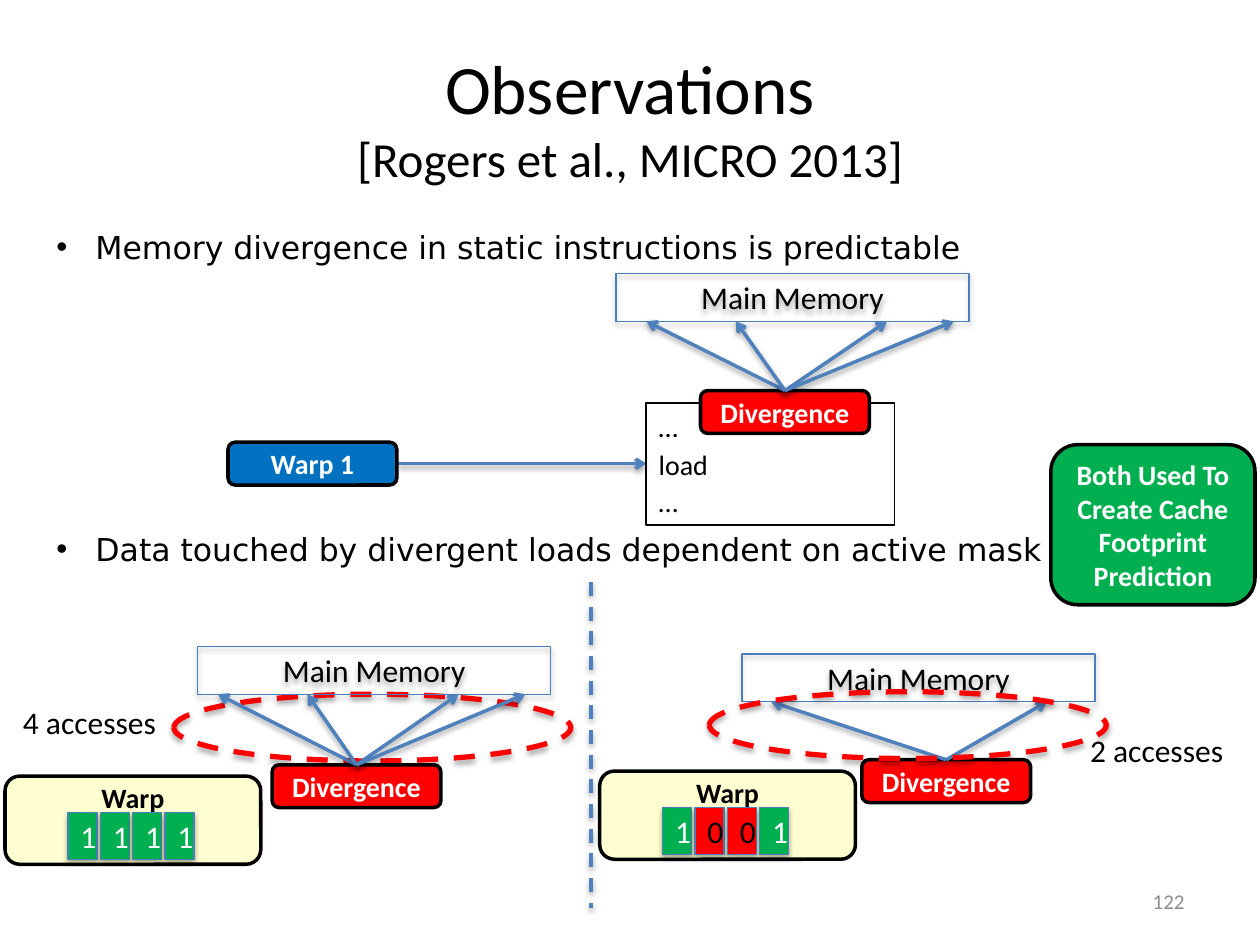
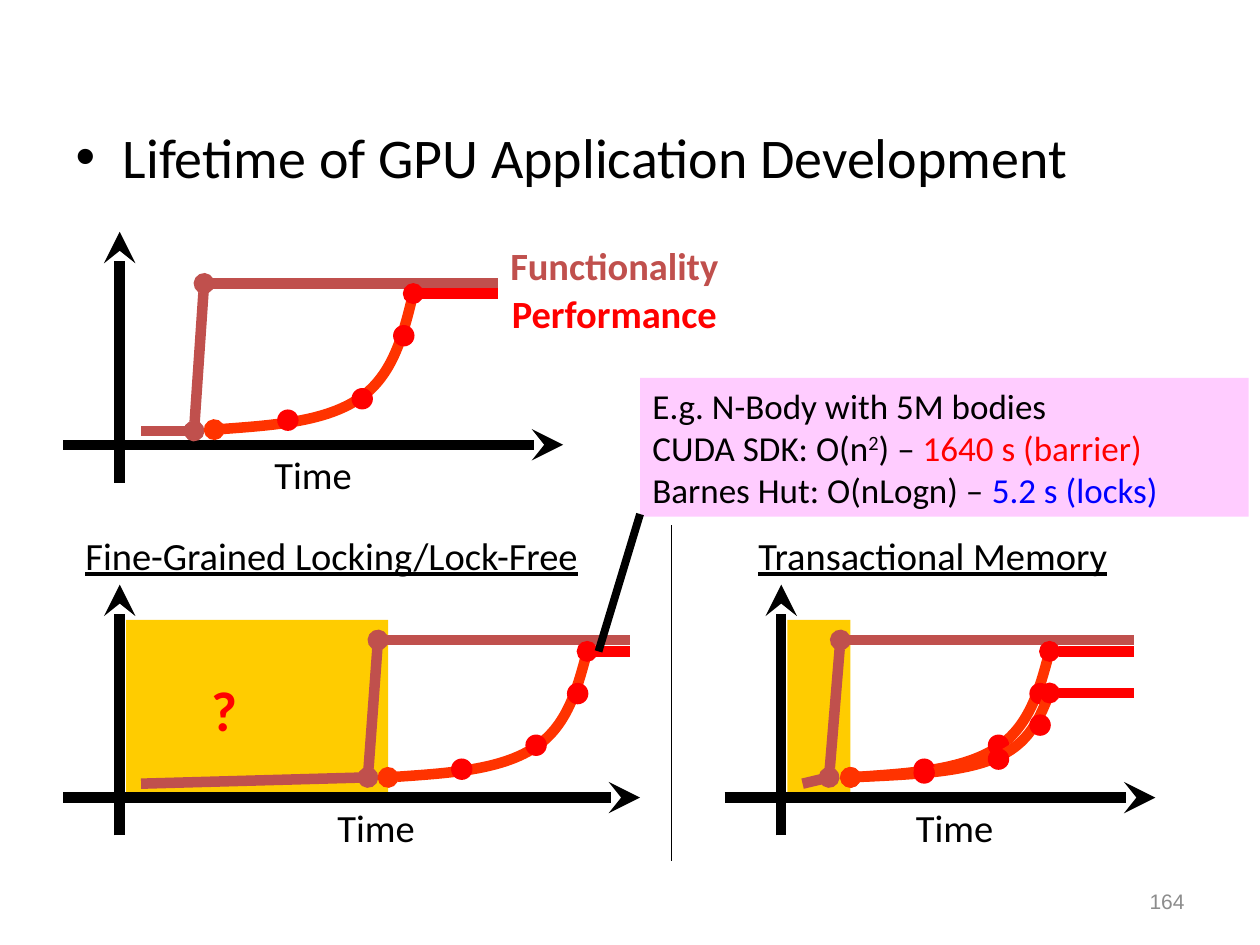
from pptx import Presentation
from pptx.dml.color import RGBColor
from pptx.enum.dml import MSO_LINE
from pptx.enum.shapes import MSO_CONNECTOR, MSO_SHAPE
from pptx.enum.text import MSO_ANCHOR, MSO_AUTO_SIZE, PP_ALIGN
from pptx.oxml import parse_xml
from pptx.oxml.ns import nsdecls, qn
from pptx.util import Inches, Pt

BLACK, WHITE, RED = "000000", "FFFFFF", "FF0000"
BLUE, EDGE, GREEN, CREAM = "4F81BD", "4B7EBC", "00B050", "FFFFD1"
ROSE, ORANGE, GOLD, GREY = "C0504D", "FF3300", "FFCC00", "8C8C8C"
RECT, ROUND, OVAL = MSO_SHAPE.RECTANGLE, MSO_SHAPE.ROUNDED_RECTANGLE, MSO_SHAPE.OVAL
LEFT, MID, RIGHT = PP_ALIGN.LEFT, PP_ALIGN.CENTER, PP_ALIGN.RIGHT
TOP, CENTER = MSO_ANCHOR.TOP, MSO_ANCHOR.MIDDLE
SHADE = (f'<a:outerShdw {nsdecls("a")} blurRad="40000" dist="23000" dir="5400000" '
         'rotWithShape="0"><a:srgbClr val="000000"><a:alpha val="35000"/>'
         '</a:srgbClr></a:outerShdw>')
rgb = RGBColor.from_string


def box(slide, kind, at, words="", size=18, hue=BLACK, fill=None, edge=None, width=0.75,
        dash=False, bold=False, align=MID, anchor=CENTER, inset=None, shade=False,
        font="Calibri"):
    """Add a preset shape, or a text box when kind is None."""
    place = [Inches(v) for v in at]
    if kind is None:
        item = slide.shapes.add_textbox(*place)
    else:
        item = slide.shapes.add_shape(kind, *place)
        item.shadow.inherit = False
        if shade:
            item._element.spPr.find(qn("a:effectLst")).append(parse_xml(SHADE))
        if fill:
            item.fill.solid()
            item.fill.fore_color.rgb = rgb(fill)
        else:
            item.fill.background()
        if edge:
            item.line.color.rgb = rgb(edge)
            item.line.width = Pt(width)
            if dash:
                item.line.dash_style = MSO_LINE.DASH
        else:
            item.line.fill.background()
    frame = item.text_frame
    frame.word_wrap = True
    frame.vertical_anchor = anchor
    if inset is not None:
        frame.margin_left = frame.margin_right = Inches(inset)
        frame.margin_top = frame.margin_bottom = Inches(inset)
    if words:
        frame.text = words
    for para in frame.paragraphs:
        para.alignment = align
        for run in para.runs:
            run.font.size, run.font.bold, run.font.name = Pt(size), bold, font
            run.font.color.rgb = rgb(hue)
    return item


def line(slide, points, hue, width, head=None, tail=None, dash=False, shade=False):
    """Join two points with a connector, or more as cubic arcs of three points each."""
    spots = [(Inches(x), Inches(y)) for x, y in points]
    if len(spots) == 2:
        item = slide.shapes.add_connector(MSO_CONNECTOR.STRAIGHT, *spots[0], *spots[1])
    else:
        pen = slide.shapes.build_freeform(*spots[0])
        pen.add_line_segments(spots[1:], close=False)
        item = pen.convert_to_shape()
        item.fill.background()
        steps = list(item._element.iter(qn("a:lnTo")))
        for n in range(0, len(steps), 3):
            arc = parse_xml(f'<a:cubicBezTo {nsdecls("a")}/>')
            steps[n].addprevious(arc)
            for step in steps[n:n + 3]:
                arc.append(step[0])
                step.getparent().remove(step)
    item.line.color.rgb = rgb(hue)
    item.line.width = Pt(width)
    if dash:
        item.line.dash_style = MSO_LINE.DASH
    for tag, end in (("headEnd", head), ("tailEnd", tail)):
        if end:
            big = "sm" if end == "oval" else "med"
            item.line._get_or_add_ln().append(parse_xml(
                f'<a:{tag} {nsdecls("a")} type="{end}" w="{big}" len="{big}"/>'))
    glow = parse_xml(f'<a:effectLst {nsdecls("a")}/>')
    if shade:
        glow.append(parse_xml(SHADE))
    item._element.spPr.append(glow)


deck = Presentation()
deck.slide_width, deck.slide_height = Inches(10), Inches(7.5)
first = deck.slides.add_slide(deck.slide_layouts[5])
second = deck.slides.add_slide(deck.slide_layouts[1])
for slide, page, font in ((first, "122", "Calibri"), (second, "164", "Arial")):
    box(slide, None, (7.17, 6.95, 2.33, 0.4), page, 12, GREY, align=RIGHT, font=font)

# Observations
title = first.shapes.title
title.left, title.top, title.width, title.height = map(Inches, (0.5, 0.3, 9, 1.25))
title.text_frame.text = "Observations\v[Rogers et al., MICRO 2013]"
title.text_frame.auto_size = MSO_AUTO_SIZE.NONE
title.text_frame.vertical_anchor = CENTER
for run, size in zip(title.text_frame.paragraphs[0].runs, (39.6, 28)):
    run.font.size, run.font.name = Pt(size), "Calibri"
    run.font.color.rgb = rgb(BLACK)

ring = dict(edge=RED, width=3, dash=True, shade=True)
box(first, OVAL, (1.38, 5.51, 3.15, 0.53), **ring)

points = box(first, None, (0.35, 1.76, 8.27, 3.49),
             "Memory divergence in static instructions is predictable\n"
             "Data touched by divergent loads dependent on active mask",
             align=LEFT, anchor=TOP, font="DejaVu Sans").text_frame.paragraphs
for para in points:
    props = para._p.get_or_add_pPr()
    props.set("marL", str(Inches(0.31)))
    props.set("indent", str(Inches(-0.31)))
    props.append(parse_xml(f'<a:buFont {nsdecls("a")} typeface="Arial"/>'))
    props.append(parse_xml(f'<a:buChar {nsdecls("a")} char="•"/>'))
points[1].space_before = Pt(151)

label = dict(size=16, bold=True, edge=BLACK, width=2, inset=0)
arrow = dict(hue=BLUE, width=2, tail="arrow", shade=True)
line(first, [(3.16, 3.68), (5.13, 3.68)], **arrow)
box(first, ROUND, (1.81, 3.51, 1.34, 0.34), "Warp 1", hue=WHITE, fill="0070C0", **label)
code = box(first, RECT, (5.13, 3.2, 1.97, 0.97), "…\nload\n…", 16, edge=BLACK, width=1,
           align=LEFT, anchor=TOP)
code.text_frame.margin_right = 0
for n, para in enumerate(code.text_frame.paragraphs):
    para.space_after = Pt(1.2)
    if n:
        para.space_before = Pt(1.2)

four = (-1.1, -0.39, 0.81, 1.34)
for mem, div, ends in (((4.89, 2.17), (5.56, 3.1), four),
                       ((1.57, 5.13), (2.16, 6.07), four),
                       ((5.89, 5.19), (6.84, 6.03), (-1.39, 0.8))):
    box(first, RECT, (*mem, 2.8, 0.38), "Main Memory", edge=EDGE, shade=True)
    box(first, ROUND, (*div, 1.34, 0.34), "Divergence", hue=WHITE, fill=RED, **label)
    apex = div[0] + 0.67
    for dx in ends:
        line(first, [(apex, div[1]), (apex + dx, mem[1] + 0.38)], **arrow)

box(first, ROUND, (8.34, 3.53, 1.62, 1.27),
    "Both Used To Create Cache Footprint Prediction", hue=WHITE, fill=GREEN, **label)
line(first, [(4.69, 4.62), (4.69, 7.21)], BLUE, 2, dash=True, shade=True)
box(first, None, (0, 5.53, 1.42, 0.4), "4 accesses", anchor=TOP)
box(first, None, (8.36, 5.75, 1.64, 0.4), "2 accesses", anchor=TOP)
box(first, OVAL, (5.63, 5.49, 3.15, 0.53), **ring)

for x, y, mask in ((4.76, 6.12, "1001"), (0.04, 6.16, "1111")):
    box(first, ROUND, (x, y, 2.03, 0.7), "Warp", fill=CREAM, anchor=TOP, **label)
    for n, bit in enumerate(mask):
        hue, fill = (WHITE, GREEN) if bit == "1" else (BLACK, RED)
        box(first, RECT, (x + 0.5 + 0.77 * n / 3, y + 0.29, 0.23, 0.37), bit, hue=hue,
            fill=fill, edge=EDGE, shade=True)

# Lifetime of GPU Application Development
blank = second.shapes.title._element
blank.getparent().remove(blank)
for x, width in ((6.25, 0.5), (1, 2.08)):
    box(second, RECT, (x, 4.92, width, 1.42), fill=GOLD)
body = second.placeholders[1]
body.left, body.top, body.width, body.height = map(Inches, (0.5, 0.92, 9, 5.79))
body.text_frame.text = "Lifetime of GPU Application Development"
run = body.text_frame.paragraphs[0].runs[0]
run.font.size, run.font.name = Pt(32), "Calibri"
run.font.color.rgb = rgb(BLACK)

# Axes and functionality: left end, base, right end, time label, steps
for left, base, right, time, steps in (
        (0.5, 3.53, 4.47, 2.08, [(1.12, 3.42), (1.54, 3.42), (1.62, 2.25), (3.95, 2.25)]),
        (0.5, 6.33, 5.08, 2.58, [(1.12, 6.22), (2.92, 6.17), (3, 5.08), (5, 5.08)]),
        (5.75, 6.33, 9.17, 7.17, [(6.37, 6.22), (6.58, 6.17), (6.67, 5.08), (9, 5.08)])):
    up = left + 0.45
    line(second, [(up, base + 0.3), (up, base - 1.69)], BLACK, 6, tail="stealth")
    line(second, [(left, base), (right, base)], BLACK, 6, tail="stealth")
    box(second, None, (time, base, 0.88, 0.47), "Time", 22, align=LEFT, anchor=TOP)
    for n, end in enumerate((None, "oval", None)):
        line(second, steps[n:n + 2], ROSE, 6, head=end, tail=end)

# Performance: two cubic arcs as shares of width and rise, then a flat stretch
arcs = ((0, 0), (0.28, 0.03), (0.56, 0.06), (0.73, 0.23), (0.9, 0.4), (0.95, 0.7), (1, 1))
for x, y, rise, stop, dots in ((1.7, 3.41, 1.08, 3.95, (2.58, 3.08, 3.25)),
                               (3.08, 6.17, 1, 5, (5.42, 5.83, 6.02)),
                               (6.75, 6.17, 1, 9, (5.42, 5.83, 6.02)),
                               (6.75, 6.17, 0.67, 9, (5.67, 5.94, 6.05))):
    curve = [(x + 1.58 * dx, y - rise * dy) for dx, dy in arcs]
    line(second, curve, ORANGE, 6, head="oval")
    line(second, [curve[-1], (stop, y - rise)], RED, 6, head="oval")
    for dx, top in zip((1.42, 1.09, 0.5), dots):
        box(second, OVAL, (x + dx, top, 0.17, 0.17), fill=RED)

box(second, None, (3.87, 1.92, 2.08, 0.37), "Functionality ", 22, ROSE, bold=True,
    anchor=TOP, inset=0)
box(second, None, (3.87, 2.25, 2.08, 0.47), "Performance ", 22, RED, bold=True, anchor=TOP)
box(second, None, (1.58, 5.31, 0.47, 0.63), "?", 32, RED, bold=True, align=LEFT, anchor=TOP)
for x, width, words in ((0.58, 4.17, "Fine-Grained Locking/Lock-Free"),
                        (5.92, 3.23, "Transactional Memory")):
    head = box(second, None, (x, 4.17, width, 0.47), words, 22, align=LEFT, anchor=TOP)
    head.text_frame.paragraphs[0].runs[0].font.underline = True
line(second, [(5.33, 4.17), (5.33, 6.83)], BLACK, 0.75)

note = box(second, RECT, (5.08, 3, 4.83, 1.1), fill="FFCCFF", align=LEFT, anchor=TOP)
para = note.text_frame.paragraphs[0]
for words, hue in (("E.g. N-Body with 5M bodies ", BLACK), ("\n", None),
                   ("CUDA SDK: O(n", BLACK), ("2", BLACK), (") – ", BLACK),
                   ("1640 s (barrier)", RED), ("\n", None),
                   ("Barnes Hut: O(nLogn) – ", BLACK), ("5.2 s (locks)", "0000FF")):
    if words == "\n":
        para.add_line_break()
        continue
    run = para.add_run()
    run.text = words
    run.font.size, run.font.name = Pt(20), "Calibri"
    run.font.color.rgb = rgb(hue)
    if words == "2":
        run._r.get_or_add_rPr().set("baseline", "30000")
line(second, [(5.08, 4.08), (4.75, 5.17)], BLACK, 4.5)

deck.save("out.pptx")
